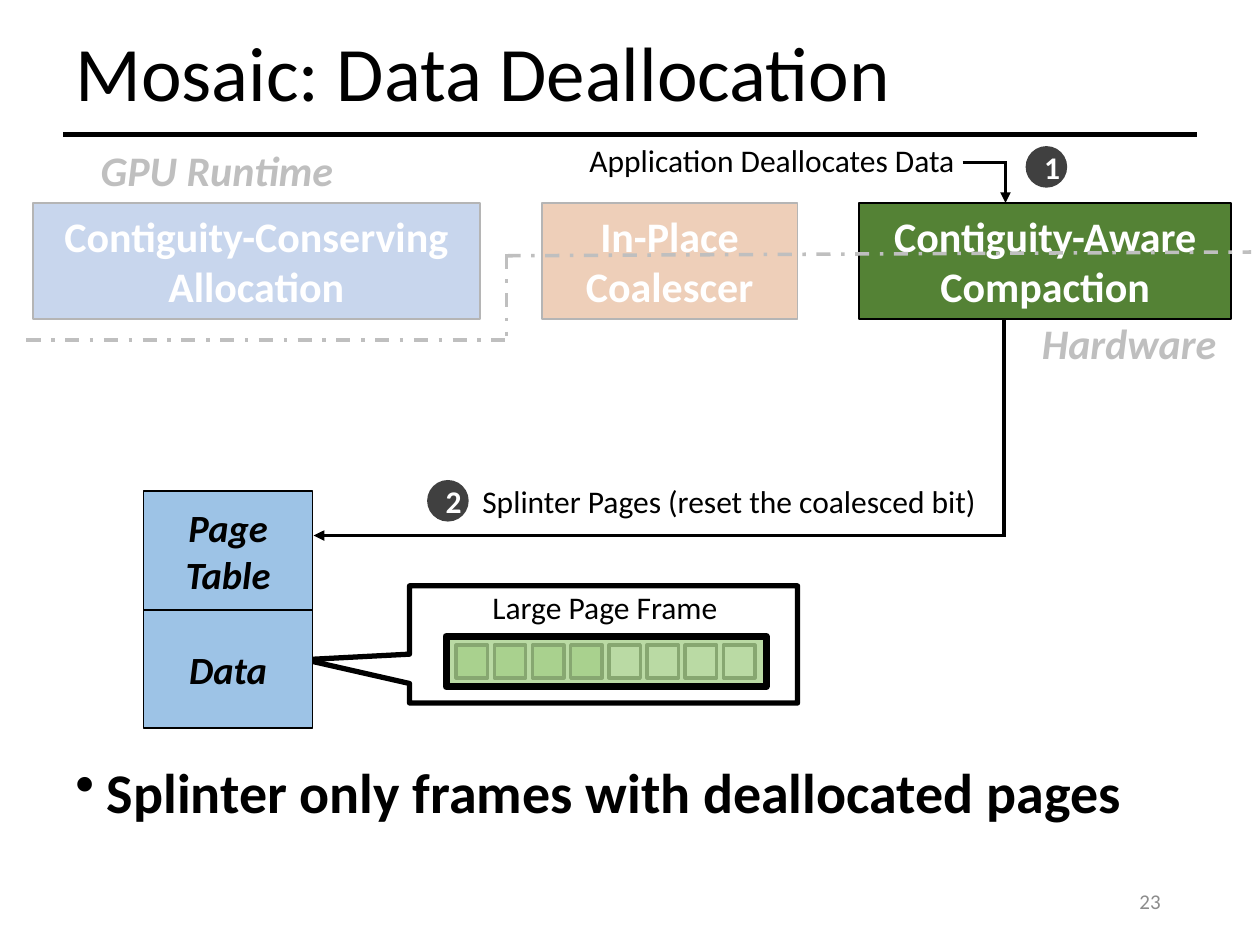
from dataclasses import dataclass

from lxml import etree
from pptx import Presentation
from pptx.dml.color import RGBColor
from pptx.enum.dml import MSO_LINE
from pptx.enum.shapes import MSO_CONNECTOR, MSO_SHAPE
from pptx.enum.text import MSO_ANCHOR, MSO_AUTO_SIZE, PP_ALIGN
from pptx.oxml.ns import qn
from pptx.util import Inches, Pt

RECTANGLE, ELLIPSE = MSO_SHAPE.RECTANGLE, MSO_SHAPE.OVAL
CALLOUT = MSO_SHAPE.RECTANGULAR_CALLOUT
STRAIGHT, DASH_DOT = MSO_CONNECTOR.STRAIGHT, MSO_LINE.DASH_DOT
LEFT, CENTER, RIGHT = PP_ALIGN.LEFT, PP_ALIGN.CENTER, PP_ALIGN.RIGHT
TOP, MIDDLE = MSO_ANCHOR.TOP, MSO_ANCHOR.MIDDLE
FIT_SHAPE = MSO_AUTO_SIZE.SHAPE_TO_FIT_TEXT

# The slide is a grid of 100 columns by 75 rows of square cells.
COLUMNS, ROWS = 100, 75
CELL = Inches(0.1)


@dataclass(frozen=True)
class Theme:
    font: str = "Calibri"
    black: str = "000000"
    white: str = "FFFFFF"
    muted: str = "BFBFBF"
    page_number: str = "8C8C8C"
    badge: str = "404040"
    allocation: str = "4472C4"
    coalescer: str = "C55A11"
    compaction: str = "548235"
    memory: str = "9DC3E6"
    page: str = "A9D18E"
    title_size: int = 44
    bullet_size: int = 32
    block_size: int = 24
    memory_size: int = 22
    label_size: int = 18
    number_size: int = 12


THEME = Theme()


def grid(*cells):
    return [round(cell * CELL) for cell in cells]


def rgb(color):
    return RGBColor.from_string(color)


def write(shape, text, size, color, align=LEFT, anchor=TOP, bold=False, italic=False):
    frame = shape.text_frame
    frame.text = text
    frame.vertical_anchor = anchor
    for paragraph in frame.paragraphs:
        paragraph.alignment = align
        for run in paragraph.runs:
            font = run.font
            font.name, font.size = THEME.font, Pt(size)
            font.bold, font.italic = bold, italic
            font.color.rgb = rgb(color)


def add_text(slide, area, text, size, color=THEME.black, wrap=True, **style):
    box = slide.shapes.add_textbox(*grid(*area))
    box.text_frame.word_wrap = wrap
    if not wrap:
        box.text_frame.auto_size = FIT_SHAPE
    write(box, text, size, color, **style)
    return box.text_frame.paragraphs[0]


def add_label(slide, area, text):
    add_text(slide, area, text, THEME.label_size, wrap=False)


def add_region_name(slide, area, text):
    add_text(slide, area, text, THEME.block_size, THEME.muted, wrap=False,
             bold=True, italic=True)


def add_figure(slide, kind, area, fill=None, opacity=100, line_width=0):
    figure = slide.shapes.add_shape(kind, *grid(*area))
    figure.shadow.inherit = False
    if fill:
        figure.fill.solid()
        figure.fill.fore_color.rgb = rgb(fill)
        if opacity < 100:
            color = figure.fill._xPr.find(".//" + qn("a:srgbClr"))
            etree.SubElement(color, qn("a:alpha"), val=str(opacity * 1000))
    else:
        figure.fill.background()
    if line_width:
        figure.line.color.rgb = rgb(THEME.black)
        figure.line.width = Pt(line_width)
    else:
        figure.line.fill.background()
    return figure


def add_block(slide, area, text, fill):
    block = add_figure(slide, RECTANGLE, area, fill, line_width=1)
    write(block, text, THEME.block_size, THEME.white, CENTER, MIDDLE, bold=True)


def add_memory(slide, row, text):
    memory = add_figure(slide, RECTANGLE, (11.4, row, 13.4, 9.4), THEME.memory, line_width=1)
    write(memory, text, THEME.memory_size, THEME.black, CENTER, MIDDLE, bold=True, italic=True)


def add_badge(slide, column, row, number):
    badge = add_figure(slide, ELLIPSE, (column, row, 3.3, 3.3), THEME.badge)
    write(badge, number, THEME.label_size, THEME.white, CENTER, MIDDLE, bold=True)


def add_line(slide, start, end, width=2, color=THEME.black, dash=None, arrow=False):
    connector = slide.shapes.add_connector(STRAIGHT, *grid(*start, *end))
    connector.line.color.rgb = rgb(color)
    connector.line.width = Pt(width)
    if dash:
        connector.line.dash_style = dash
    if arrow:
        etree.SubElement(connector.line._get_or_add_ln(), qn("a:tailEnd"), type="triangle")
    etree.SubElement(connector._element.spPr, qn("a:effectLst"))


def add_bullet(slide, area, text):
    paragraph = add_text(slide, area, text, THEME.bullet_size, bold=True)
    paragraph.line_spacing = 0.9
    properties = paragraph._p.get_or_add_pPr()
    properties.set("marL", str(Inches(0.25)))
    properties.set("indent", str(-Inches(0.25)))
    etree.SubElement(properties, qn("a:buChar"), char="•")


def add_heading(slide):
    title = add_text(slide, (5, 1.4, 90, 9.3), "Mosaic: Data Deallocation",
                     THEME.title_size, anchor=MIDDLE)
    title.line_spacing = 0.9
    add_line(slide, (5, 10.7), (95, 10.7), width=3)


def add_components(slide):
    row, height = 16.1, 9.2
    for column, width, text, fill in (
        (2.6, 35.5, "Contiguity-Conserving\nAllocation", THEME.allocation),
        (43, 20.3, "In-Place\nCoalescer", THEME.coalescer),
        (68.2, 29.5, "Contiguity-Aware\nCompaction", THEME.compaction),
    ):
        add_block(slide, (column, row, width, height), text, fill)
    # A veil fades the two inactive components.
    add_figure(slide, RECTANGLE, (1.8, 13.7, 64.6, 14), THEME.white, opacity=71)


def add_boundary(slide):
    """Dashed border between the runtime and the hardware, with both names."""
    add_region_name(slide, (7, 11, 20.6, 5), "GPU Runtime")
    add_region_name(slide, (81.7, 24.7, 16, 5), "Hardware")
    for start, end in (
        ((2.1, 27), (40.2, 27)),
        ((40.2, 20.3), (99.3, 20)),
        ((40.2, 20.2), (40.2, 26.7)),
    ):
        add_line(slide, start, end, color=THEME.muted, dash=DASH_DOT)


def add_page_frame(slide):
    add_label(slide, (38.1, 46.2, 20.1, 4), "Large Page Frame")
    pages, pitch = 8, 3.03
    for index in range(pages):
        fill = THEME.page if index < pages / 2 else THEME.white
        add_figure(slide, RECTANGLE, (36.2 + index * pitch, 51.2, 2.5, 2.6), fill, line_width=2)
    callout = add_figure(slide, CALLOUT, (32.5, 46.5, 30.8, 9.3), line_width=3)
    callout.adjustments[0], callout.adjustments[1] = -0.77, 0.13
    add_figure(slide, RECTANGLE, (35.4, 50.5, 25.4, 4), THEME.page, opacity=80, line_width=4)


def add_steps(slide):
    add_label(slide, (45.8, 10.7, 31.4, 4), "Application Deallocates Data")
    add_line(slide, (76.4, 12.9), (79.9, 12.9))
    add_line(slide, (79.8, 12.9), (79.8, 16.1), arrow=True)
    add_badge(slide, 81.4, 11.6, "1")
    add_label(slide, (37.3, 37.8, 41.7, 4), "Splinter Pages (reset the coalesced bit)")
    add_line(slide, (79.7, 25.3), (79.7, 42.6))
    add_line(slide, (79.7, 42.5), (24.9, 42.5), arrow=True)
    add_badge(slide, 33.9, 38.1, "2")


def main():
    presentation = Presentation()
    presentation.slide_width, presentation.slide_height = grid(COLUMNS, ROWS)
    slide = presentation.slides.add_slide(presentation.slide_layouts[6])
    add_heading(slide)
    add_components(slide)
    add_boundary(slide)
    add_page_frame(slide)
    add_memory(slide, 39, "Page\nTable")
    add_memory(slide, 48.4, "Data")
    add_steps(slide)
    add_bullet(slide, (5, 60.2, 93.7, 6), "Splinter only frames with deallocated pages")
    add_text(slide, (70.6, 69.5, 22.5, 4), "23", THEME.number_size, THEME.page_number,
             align=RIGHT, anchor=MIDDLE)
    presentation.save("out.pptx")


if __name__ == "__main__":
    main()
